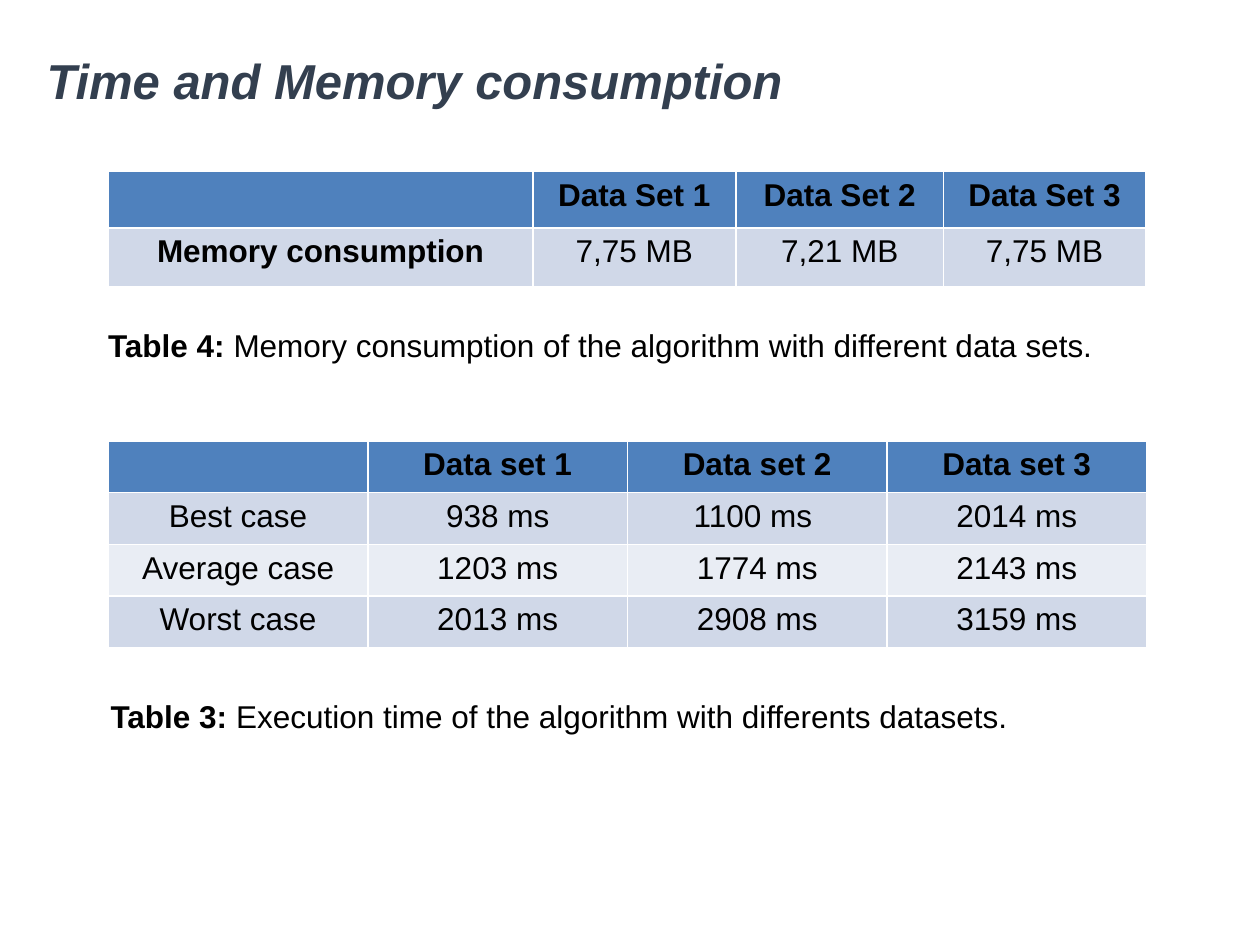
"""Build a slide with two tables on the time and memory use of an algorithm."""
import pptx
import pptx.dml.color
import pptx.enum.text
import pptx.util

Inches = pptx.util.Inches
COLORS = {"title": "333F4F", "text": "000000", "header": "4F81BD", "odd": "D0D8E8", "even": "E9EDF4"}


def add_span(para, text, color="text", size=18, bold=False, italic=False):
    span = para.add_run()
    span.text = text
    span.font.name = "Arial"
    span.font.size = pptx.util.Pt(size)
    span.font.bold = bold
    span.font.italic = italic
    span.font.color.rgb = pptx.dml.color.RGBColor.from_string(COLORS[color])


deck = pptx.Presentation()
deck.slide_width, deck.slide_height = Inches(10), Inches(7.5)
page = deck.slides.add_slide(deck.slide_layouts[5])

title = page.shapes.title
title.left, title.top, title.width, title.height = Inches(0.27), Inches(0.33), Inches(8.62), Inches(0.67)
title.text_frame.vertical_anchor = pptx.enum.text.MSO_ANCHOR.MIDDLE
title_para = title.text_frame.paragraphs[0]
title_para.alignment = pptx.enum.text.PP_ALIGN.LEFT
title_para.line_spacing = 0.9
add_span(title_para, "Time and Memory consumption", "title", 28, True, True)

memory_rows = [
    ["", "Data Set 1", "Data Set 2", "Data Set 3"],
    ["Memory consumption", "7,75 MB", "7,21 MB", "7,75 MB"],
]
time_rows = [
    ["", "Data set 1", "Data set 2", "Data set 3"],
    ["Best case", "938 ms", "1100 ms ", "2014 ms"],
    ["Average case", "1203 ms", "1774 ms", "2143 ms"],
    ["Worst case", "2013 ms", "2908 ms", "3159 ms"],
]
tables = [
    (1.36, memory_rows, [3.37, 1.61, 1.65, 1.6], [0.45, 0.47], True),
    (3.5, time_rows, [2.06] * 4, [0.41] * 4, False),
]
for top, rows, widths, heights, bold_labels in tables:
    frame = page.shapes.add_table(
        len(rows), len(widths), Inches(0.86), Inches(top), Inches(sum(widths)), Inches(sum(heights)))
    table = frame.table
    for column, width in zip(table.columns, widths):
        column.width = Inches(width)
    for row_index, (values, height) in enumerate(zip(rows, heights)):
        table.rows[row_index].height = Inches(height)
        fill = "header" if row_index == 0 else "odd" if row_index % 2 else "even"
        for column_index, value in enumerate(values):
            cell = table.cell(row_index, column_index)
            cell.fill.solid()
            cell.fill.fore_color.rgb = pptx.dml.color.RGBColor.from_string(COLORS[fill])
            para = cell.text_frame.paragraphs[0]
            para.alignment = pptx.enum.text.PP_ALIGN.CENTER
            if value:
                bold = row_index == 0 or (bold_labels and column_index == 0)
                add_span(para, value, bold=bold)

captions = [
    (0.76, 2.54, 8.13, "Table 4: ", "Memory consumption of the algorithm with different data sets."),
    (0.78, 5.48, 8.44, "Table 3: ", "Execution time of the algorithm with differents datasets."),
]
for left, top, width, label, description in captions:
    box = page.shapes.add_textbox(Inches(left), Inches(top), Inches(width), Inches(0.4))
    box.text_frame.word_wrap = True
    box.text_frame.auto_size = pptx.enum.text.MSO_AUTO_SIZE.SHAPE_TO_FIT_TEXT
    para = box.text_frame.paragraphs[0]
    add_span(para, label, bold=True)
    add_span(para, description)

deck.save("out.pptx")
